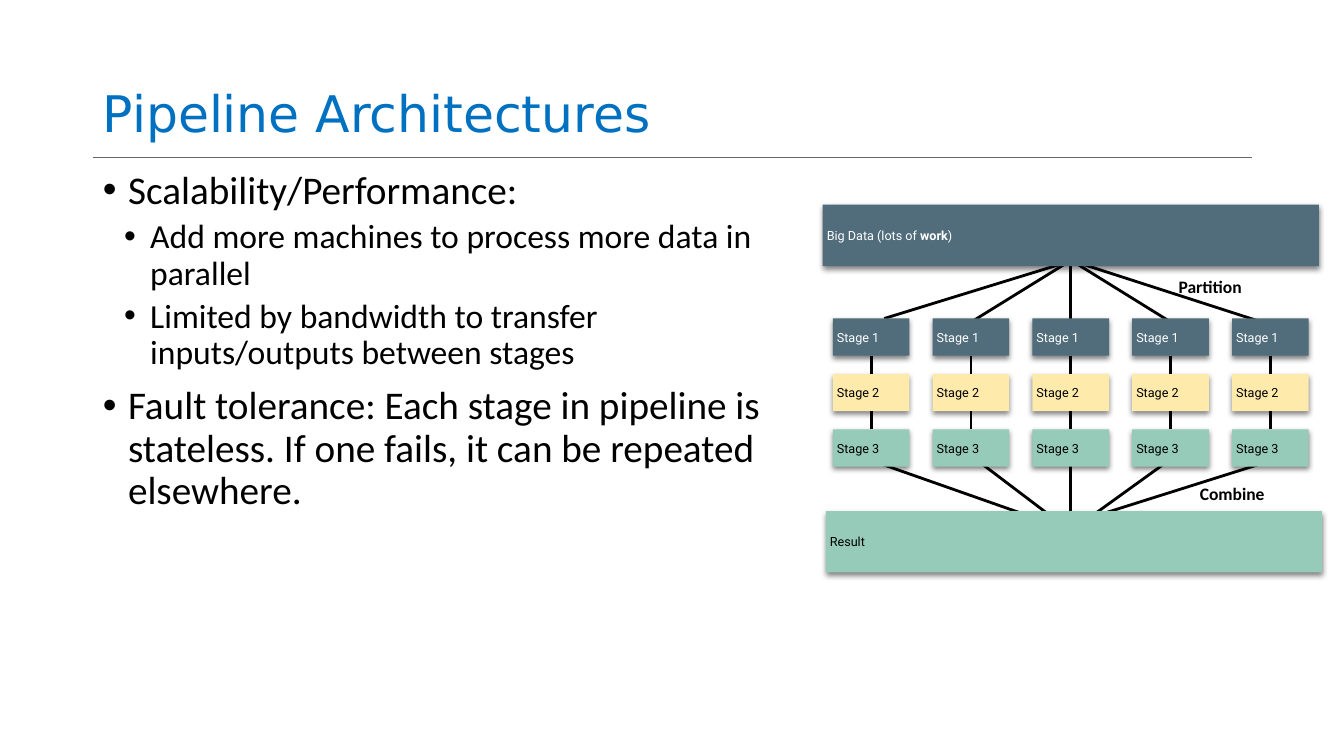
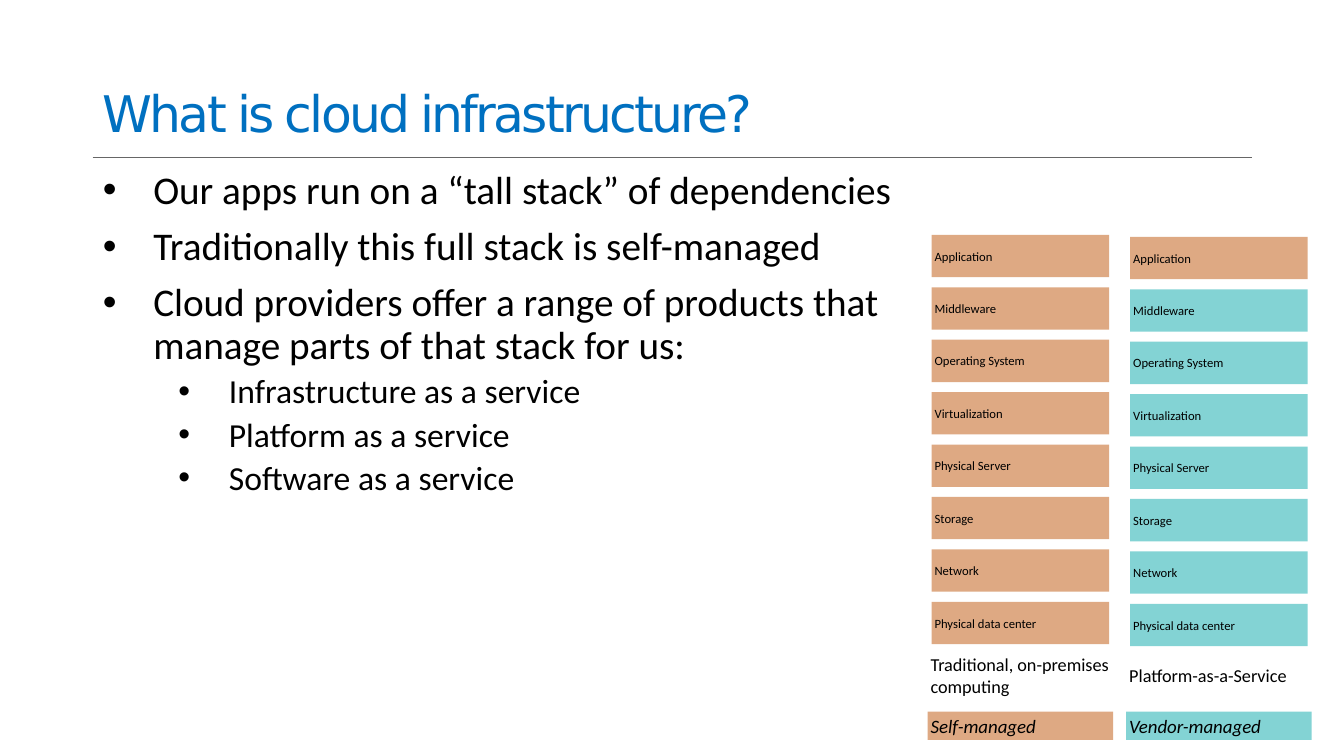
"""Build two slides on pipeline architectures and cloud infrastructure."""
from lxml import etree
from pptx import Presentation
from pptx.dml.color import RGBColor
from pptx.enum.shapes import MSO_CONNECTOR as CONNECTOR, MSO_SHAPE as SHAPE
from pptx.enum.text import MSO_ANCHOR as ANCHOR, MSO_AUTO_SIZE as AUTO_SIZE, PP_ALIGN as ALIGN
from pptx.oxml.ns import qn
from pptx.util import Emu, Pt

EMU_PER_PX = 9144
COLORS = {
    "title": "0070C0", "rule": "666666", "black": "000000", "white": "FFFFFF",
    "slate": "516D7C", "yellow": "FEEBAB", "green": "96CBB9",
    "self": "DEA983", "vendor": "83D3D4",
}

PIPELINE = {
    "title": "Pipeline Architectures", "spacing": 0, "width": 682,
    "indents": [(25, 25), (47, 26)],
    "bullets": [
        (0, "Scalability/Performance:"),
        (1, "Add more machines to process more data in parallel"),
        (1, "Limited by bandwidth to transfer inputs/outputs between stages"),
        (0, "Fault tolerance: Each stage in pipeline is stateless. "
            "If one fails, it can be repeated elsewhere."),
    ],
}
CLOUD = {
    "title": "What is cloud infrastructure?", "spacing": -200, "width": 863,
    "indents": [(50, 50), (125, 50)],
    "bullets": [
        (0, "Our apps run on a “tall stack” of dependencies"),
        (0, "Traditionally this full stack is self-managed"),
        (0, "Cloud providers offer a range of products that manage parts of that stack for us:"),
        (1, "Infrastructure as a service"),
        (1, "Platform as a service"),
        (1, "Software as a service"),
    ],
}
LEVELS = [(28, 10), (24, 5)]

STAGES = [("Stage 1", "slate", "white"), ("Stage 2", "yellow", "black"), ("Stage 3", "green", "black")]
PIPELINE_COUNT = 5
FAN_LINES = [
    (877, 316, 1049, 263), (964, 319, 1061, 259), (1062, 327, 1062, 251),
    (1162, 320, 1062, 258), (1253, 320, 1061, 258),
    (1058, 525, 856, 454), (1062, 527, 963, 452), (1062, 527, 1062, 452),
    (1062, 527, 1166, 452), (1064, 519, 1251, 460),
]
BARS = [
    ((816, 203, 492, 61), [("Big Data (lots of ", False), ("work", True), (")", False)], "slate", "white"),
    ((819, 507, 492, 61), [("Result", False)], "green", "black"),
]
FAN_LABELS = [("Partition", (1165, 271, 79, 26)), ("Combine", (1186, 472, 108, 36))]

LAYERS = ["Application", "Middleware", "Operating System", "Virtualization",
          "Physical Server", "Storage", "Network", "Physical data center"]
STACKS = [
    {"left": 920, "top": 233, "label": "Traditional, on-premises computing",
     "self_managed": 8, "key": "Self-managed", "key_fill": "self"},
    {"left": 1117, "top": 235, "label": "Platform-as-a-Service",
     "self_managed": 1, "key": "Vendor-managed", "key_fill": "vendor"},
]


def px(*lengths):
    return [Emu(length * EMU_PER_PX) for length in lengths]


def color(name):
    return RGBColor.from_string(COLORS[name])


def style_font(font, size, ink="black", name="Calibri", bold=None, italic=None):
    font.size, font.name, font.bold, font.italic = Pt(size), name, bold, italic
    font.color.rgb = color(ink)


def add_box(shapes, bounds, runs, size, inset, fill=None, **font_style):
    if fill:
        shape = shapes.add_shape(SHAPE.RECTANGLE, *px(*bounds))
        shape.shadow.inherit = False
        shape.fill.solid()
        shape.fill.fore_color.rgb = color(fill)
        shape.line.fill.background()
    else:
        shape = shapes.add_textbox(*px(*bounds))
    frame = shape.text_frame
    frame.word_wrap = True
    frame.vertical_anchor = ANCHOR.MIDDLE
    frame.margin_left, frame.margin_top, frame.margin_right, frame.margin_bottom = px(*[inset] * 4)
    paragraph = frame.paragraphs[0]
    paragraph.alignment = ALIGN.LEFT
    style_font(paragraph.font, size, **font_style)
    for text, bold in runs:
        run = paragraph.add_run()
        run.text = text
        if bold:
            run.font.bold = True
    return shape


def add_shadow(shape):
    effects = shape._element.spPr.find(qn("a:effectLst"))
    shadow = etree.SubElement(effects, qn("a:outerShdw"), blurRad=str(Pt(4)), dist=str(Pt(2)),
                              dir="5400000", algn="ctr", rotWithShape="0")
    shade = etree.SubElement(shadow, qn("a:srgbClr"), val=COLORS["black"])
    etree.SubElement(shade, qn("a:alpha"), val="50000")


def add_line(shapes, ends, ink="black", width=2):
    line = shapes.add_connector(CONNECTOR.STRAIGHT, *px(*ends))
    line.line.color.rgb = color(ink)
    line.line.width = Pt(width)
    etree.SubElement(line._element.spPr, qn("a:effectLst"))
    return line


def place(shape, bounds):
    shape.left, shape.top, shape.width, shape.height = px(*bounds)


def add_content_slide(presentation, content):
    slide = presentation.slides.add_slide(presentation.slide_layouts[1])
    title, body = slide.placeholders
    place(title, (92, 2, 1150, 145))
    title.text_frame.text = content["title"]
    title.text_frame.vertical_anchor = ANCHOR.BOTTOM
    title.text_frame.auto_size = AUTO_SIZE.NONE
    heading = title.text_frame.paragraphs[0]
    heading.alignment = ALIGN.LEFT
    heading.line_spacing = 0.9
    style_font(heading.font, 36, "title", "DejaVu Sans")
    if content["spacing"]:
        heading.runs[0]._r.get_or_add_rPr().set("spc", str(content["spacing"]))

    place(body, (92, 164, content["width"], 476))
    frame = body.text_frame
    frame.auto_size = AUTO_SIZE.NONE
    for index, (level, text) in enumerate(content["bullets"]):
        paragraph = frame.add_paragraph() if index else frame.paragraphs[0]
        paragraph.text, paragraph.level = text, level
        margin, hanging = px(*content["indents"][level])
        properties = paragraph._p.get_or_add_pPr()
        properties.set("marL", str(margin))
        properties.set("indent", str(-hanging))
        etree.SubElement(properties, qn("a:buChar"), char="•")
        size, space_before = LEVELS[level]
        paragraph.line_spacing = 0.9
        paragraph.space_before = Pt(space_before if index else 0)
        style_font(paragraph.font, size)
    return slide


def draw_pipelines(shapes):
    for ends in FAN_LINES:
        add_line(shapes, ends)
    for column in range(PIPELINE_COUNT):
        previous = None
        for row, (text, fill, ink) in enumerate(STAGES):
            bounds = (826 + 99 * column, 316 + 55 * row, 76, 37)
            stage = add_box(shapes, bounds, [(text, False)], 9, 4, fill, ink=ink, name="Roboto")
            add_shadow(stage)
            if previous:
                link = add_line(shapes, (0, 0, 0, 0))
                link.begin_connect(previous, 2)
                link.end_connect(stage, 0)
            previous = stage
    for bounds, runs, fill, ink in BARS:
        add_shadow(add_box(shapes, bounds, runs, 9, 4, fill, ink=ink, name="Roboto"))
    for text, bounds in FAN_LABELS:
        add_box(shapes, bounds, [(text, False)], 12.5, 4, bold=True)


def draw_stacks(shapes):
    for stack in STACKS:
        left = stack["left"]
        group = shapes.add_group_shape()
        for row, layer in enumerate(LAYERS):
            fill = "self" if row < stack["self_managed"] else "vendor"
            add_box(group.shapes, (left + 4, stack["top"] + 52 * row, 176, 42),
                    [(layer, False)], 9, 3, fill)
        add_box(group.shapes, (left, 645, 184, 49), [(stack["label"], False)], 13, 3)
        add_box(shapes, (left, 706, 184, 28), [(stack["key"], False)], 13.5, 3,
                stack["key_fill"], italic=True)


def main():
    presentation = Presentation()
    presentation.slide_width, presentation.slide_height = px(1333, 750)
    pipeline_slide = add_content_slide(presentation, PIPELINE)
    rule = add_line(pipeline_slide.shapes, (92, 156, 1242, 156), "rule", 0.5)
    pipeline_slide.slide_layout.shapes.element.append(rule._element)
    draw_pipelines(pipeline_slide.shapes)
    draw_stacks(add_content_slide(presentation, CLOUD).shapes)
    presentation.save("out.pptx")


if __name__ == "__main__":
    main()
